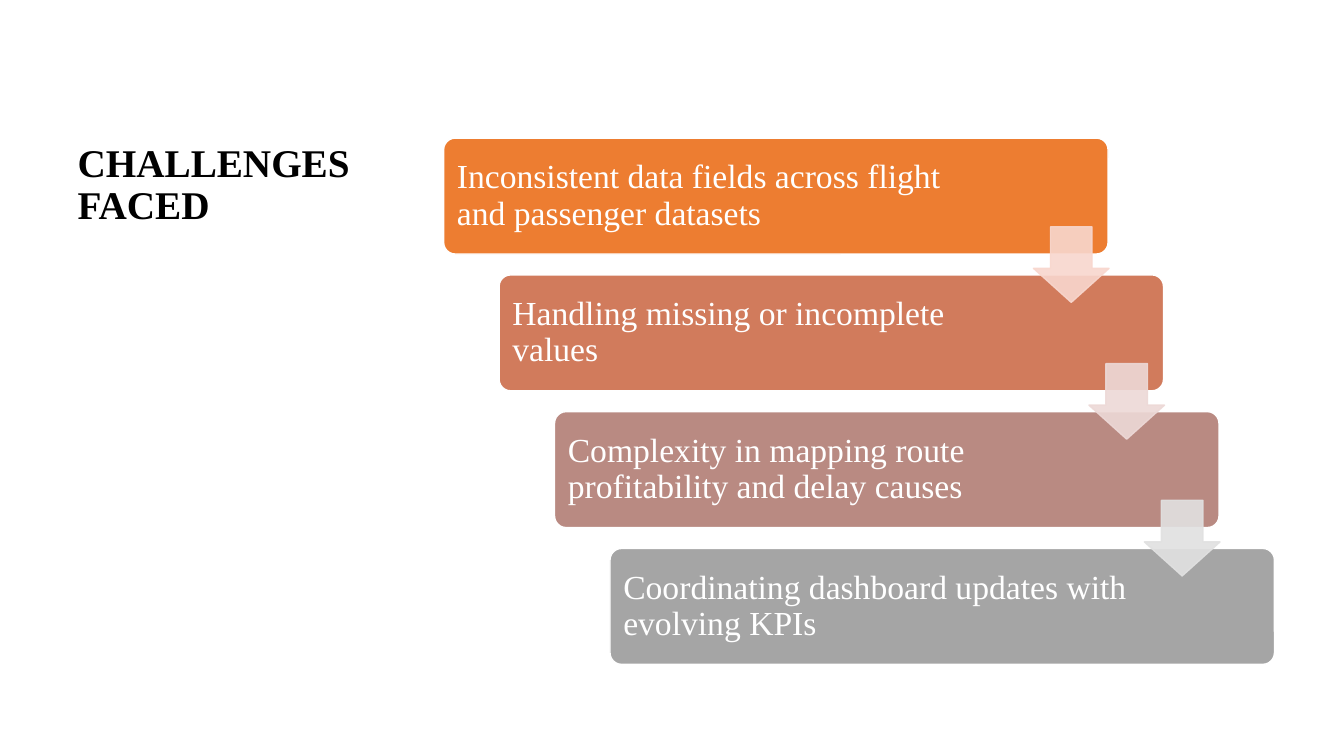
import pptx
import pptx.util
import pptx.dml.color
import pptx.enum.shapes
import pptx.enum.text
import pptx.oxml.ns
from lxml import etree
from pptx.util import Inches

FONT = "Times New Roman"
SHAPES = pptx.enum.shapes.MSO_SHAPE
ANCHORS = pptx.enum.text.MSO_ANCHOR
LEFT_ALIGNED = pptx.enum.text.PP_ALIGN.LEFT


def paint(color_format, hex_color, opacity=100):
    color_format.rgb = pptx.dml.color.RGBColor.from_string(hex_color)
    if opacity < 100:
        for color in color_format._xFill.iter(pptx.oxml.ns.qn("a:srgbClr")):
            alpha = etree.SubElement(color, pptx.oxml.ns.qn("a:alpha"))
            alpha.set("val", str(opacity * 1000))


def add_shape(kind, left, top, width, height, adjustments, fill, line, opacity=100):
    shape = slide.shapes.add_shape(
        kind, Inches(left), Inches(top), Inches(width), Inches(height))
    shape.shadow.inherit = False
    for index, value in enumerate(adjustments):
        shape.adjustments[index] = value
    shape.line.width = pptx.util.Pt(1)
    for fill_format, color in ((shape.fill, fill), (shape.line.fill, line)):
        fill_format.solid()
        paint(fill_format.fore_color, color)
        if opacity < 100:
            color_element = fill_format._xPr.find(
                pptx.oxml.ns.qn("a:solidFill"))[0]
            alpha = etree.SubElement(color_element, pptx.oxml.ns.qn("a:alpha"))
            alpha.set("val", str(opacity * 1000))
    return shape


deck = pptx.Presentation()
deck.slide_width = Inches(13.33)
deck.slide_height = Inches(7.5)
slide = deck.slides.add_slide(deck.slide_layouts[5])

# Title
title = slide.shapes.title
title.left, title.top = Inches(0.67), Inches(1.37)
title.width, title.height = Inches(3.18), Inches(5.22)
title.text_frame.text = "CHALLENGES FACED"
title.text_frame.word_wrap = True
title.text_frame.auto_size = pptx.enum.text.MSO_AUTO_SIZE.NONE
title.text_frame.vertical_anchor = ANCHORS.TOP
heading = title.text_frame.paragraphs[0]
heading.alignment = LEFT_ALIGNED
heading.line_spacing = 0.9
heading.font.name = FONT
heading.font.size = pptx.util.Pt(28)
heading.font.bold = True
paint(heading.font.color, "000000")

# Staircase of challenges
challenges = [
    ("Inconsistent data fields across flight and passenger datasets", "ED7D31"),
    ("Handling missing or incomplete values", "D17B5C"),
    ("Complexity in mapping route profitability and delay causes", "B98A82"),
    ("Coordinating dashboard updates with evolving KPIs", "A5A5A5"),
]
first_left, first_top = 4.4, 1.37
step_right, step_down = 0.55, 1.357
for step, (challenge, color) in enumerate(challenges):
    box = add_shape(SHAPES.ROUNDED_RECTANGLE, first_left + step * step_right,
                    first_top + step * step_down, 6.59, 1.15, [0.1], color, "FFFFFF")
    frame = box.text_frame
    frame.word_wrap = True
    frame.vertical_anchor = ANCHORS.MIDDLE
    frame.margin_left = frame.margin_top = frame.margin_bottom = Inches(0.1)
    frame.margin_right = Inches(1.39)
    frame.text = challenge
    para = frame.paragraphs[0]
    para.alignment = LEFT_ALIGNED
    para.line_spacing = 0.9
    para.font.name = FONT
    para.font.size = pptx.util.Pt(24)
    paint(para.font.color, "FFFFFF")

# Arrows from each step to the next
for step, color in enumerate(["F8D7CE", "EDD9D7", "E1E1E1"]):
    add_shape(SHAPES.DOWN_ARROW, first_left + 5.85 + step * step_right,
              first_top + 0.88 + step * step_down, 0.75, 0.75, [0.55, 0.45],
              color, color, opacity=90)

deck.save("out.pptx")
